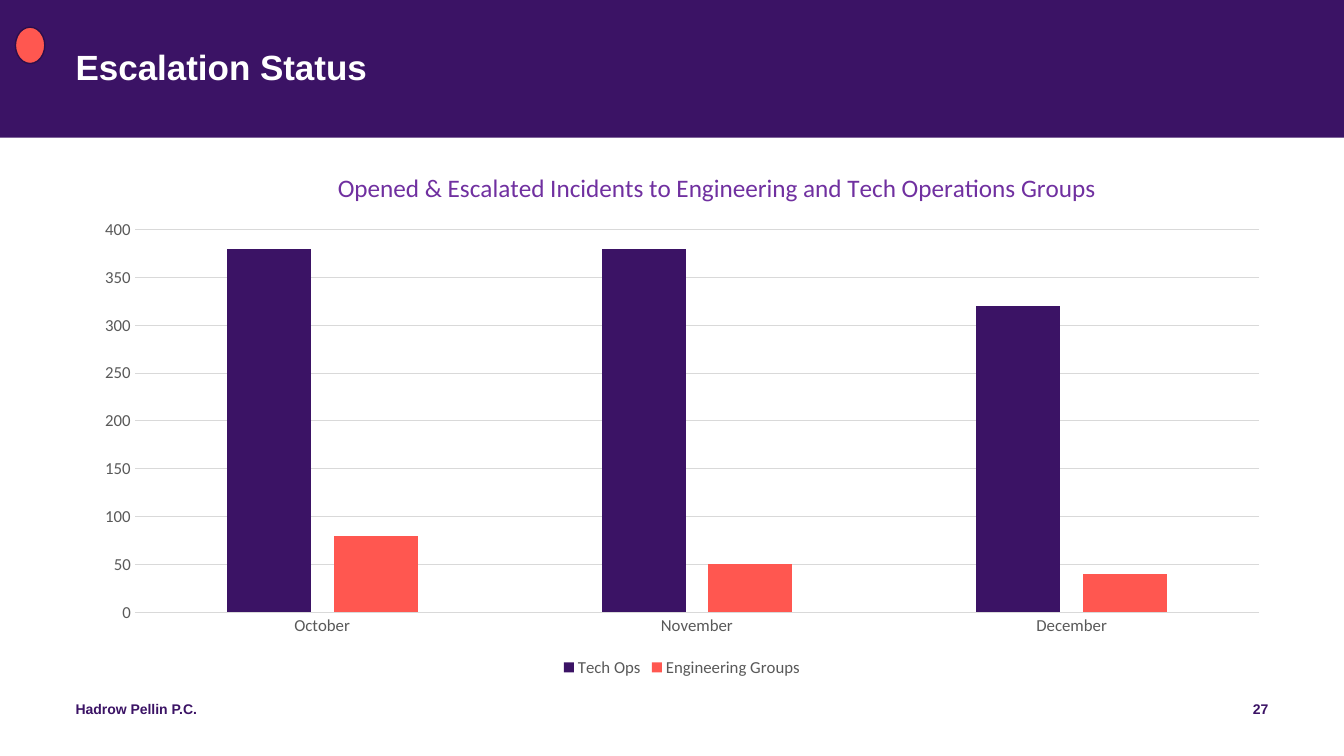
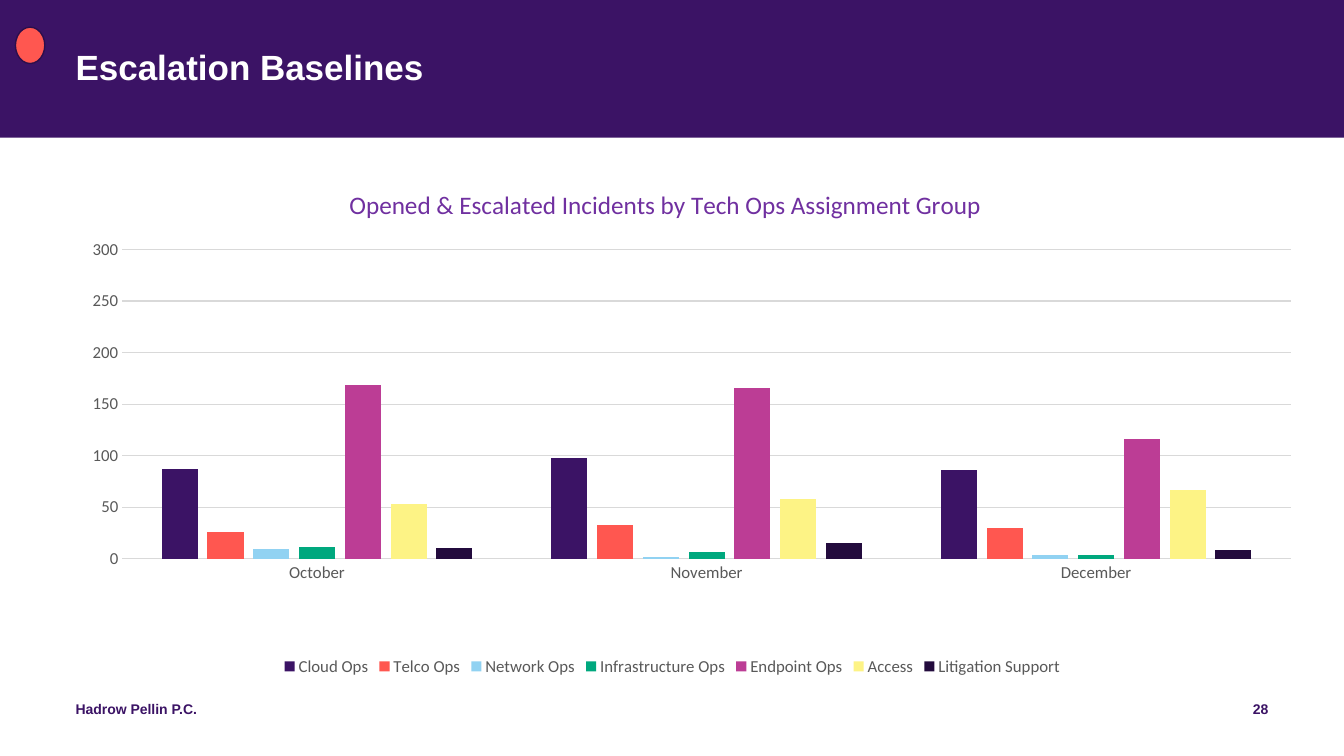
from dataclasses import dataclass

from pptx import Presentation
from pptx.chart.data import CategoryChartData
from pptx.dml.color import RGBColor
from pptx.enum.chart import XL_CHART_TYPE, XL_LEGEND_POSITION, XL_TICK_MARK
from pptx.enum.shapes import MSO_SHAPE
from pptx.enum.text import PP_ALIGN
from pptx.oxml import parse_xml
from pptx.oxml.ns import nsdecls, qn
from pptx.util import Pt


@dataclass(frozen=True)
class Theme:
    purple: RGBColor = RGBColor.from_string("3B1365")
    coral: RGBColor = RGBColor.from_string("FF5750")
    outline: RGBColor = RGBColor.from_string("2C0E4B")
    white: RGBColor = RGBColor.from_string("FFFFFF")
    chart_title: RGBColor = RGBColor.from_string("7030A0")
    label: RGBColor = RGBColor.from_string("595959")
    grid: RGBColor = RGBColor.from_string("D9D9D9")
    series: tuple = tuple(map(RGBColor.from_string, (
        "3B1365", "FF5750", "91D2F2", "00A87E", "BC3D95", "FDF385", "230B3D")))
    text_font: str = "Arial"
    chart_font: str = "Calibri"
    title_size: Pt = Pt(25)
    footer_size: Pt = Pt(10)
    chart_title_size: Pt = Pt(18)
    label_size: Pt = Pt(12)


theme = Theme()
FOOTER = "Hadrow Pellin P.C."
FIRST_PAGE = 27
MONTHS = ["October", "November", "December"]

# Slide content: chart frames in points, layouts as fractions of the chart
SLIDES = [
    {
        "title": "Escalation Status",
        "chart_title": "Opened & Escalated Incidents to Engineering and Tech Operations Groups",
        "frame": (57.6, 107.3, 859, 379.4),
        "title_at": {"x": 0.21, "y": 0.03},
        "plot": {"x": 0.045, "y": 0.15, "w": 0.935, "h": 0.72},
        "maximum": 400,
        "series": {"Tech Ops": (380, 380, 320), "Engineering Groups": (80, 50, 40)},
    },
    {
        "title": "Escalation Baselines",
        "chart_title": "Opened & Escalated Incidents by Tech Ops Assignment Group",
        "frame": (18, 111.6, 924.5, 374.4),
        "title_at": {"x": 0.247, "y": 0.05},
        "plot": {"x": 0.075, "y": 0.178, "w": 0.903, "h": 0.59},
        "maximum": 300,
        "series": {
            "Cloud Ops": (87, 98, 86),
            "Telco Ops": (26, 33, 30),
            "Network Ops": (9, 2, 4),
            "Infrastructure Ops": (11, 6, 4),
            "Endpoint Ops": (169, 166, 116),
            "Access": (53, 58, 67),
            "Litigation Support": (10, 15, 8),
        },
    },
]


def add_text(page, frame, text, size, color, align=PP_ALIGN.LEFT, spacing=1.0):
    box = page.shapes.add_textbox(*map(Pt, frame))
    text_frame = box.text_frame
    text_frame.word_wrap = True
    text_frame.margin_left = text_frame.margin_right = 0
    text_frame.margin_top = text_frame.margin_bottom = 0
    para = text_frame.paragraphs[0]
    para.text = text
    para.alignment = align
    para.line_spacing = spacing
    para.font.name = theme.text_font
    para.font.size = size
    para.font.bold = True
    para.font.color.rgb = color


def manual_layout(fractions, target=""):
    modes = "".join(f'<c:{axis}Mode val="edge"/>' for axis in "xy")
    places = "".join(f'<c:{key} val="{value}"/>' for key, value in fractions.items())
    return parse_xml(f'<c:layout {nsdecls("c")}><c:manualLayout>{target}'
                     f"{modes}{places}</c:manualLayout></c:layout>")


deck = Presentation()
deck.slide_width, deck.slide_height = Pt(960), Pt(540)

for number, content in enumerate(SLIDES, FIRST_PAGE):
    page = deck.slides.add_slide(deck.slide_layouts[6])

    # Title band
    band = page.shapes.add_shape(MSO_SHAPE.RECTANGLE, 0, 0, deck.slide_width, Pt(98.4))
    band.shadow.inherit = False
    band.fill.solid()
    band.fill.fore_color.rgb = theme.purple
    band.line.fill.background()

    # Footer and title
    add_text(page, (54, 500.4, 324, 28.8), FOOTER, theme.footer_size, theme.purple)
    add_text(page, (690, 500.4, 216, 28.8), str(number), theme.footer_size,
             theme.purple, PP_ALIGN.RIGHT)
    add_text(page, (54, 36, 852, 58.3), content["title"], theme.title_size,
             theme.white, spacing=0.9)

    # Chart
    data = CategoryChartData()
    data.categories = MONTHS
    for name, values in content["series"].items():
        data.add_series(name, values)
    chart = page.shapes.add_chart(
        XL_CHART_TYPE.COLUMN_CLUSTERED, *map(Pt, content["frame"]), data).chart
    chart.font.name = theme.chart_font
    chart.font.size = theme.label_size
    chart.font.color.rgb = theme.label

    # Columns
    plot = chart.plots[0]
    plot.gap_width, plot.overlap, plot.vary_by_categories = 219, -27, False
    for series, color in zip(plot.series, theme.series):
        series.invert_if_negative = False
        series.format.fill.solid()
        series.format.fill.fore_color.rgb = color

    # Axes
    months, counts = chart.category_axis, chart.value_axis
    for axis in (months, counts):
        axis.major_tick_mark = axis.minor_tick_mark = XL_TICK_MARK.NONE
    counts.minimum_scale, counts.maximum_scale = 0, content["maximum"]
    counts.major_unit = 50
    counts.has_major_gridlines = True
    counts.format.line.fill.background()
    for line in (months.format.line, counts.major_gridlines.format.line):
        line.color.rgb = theme.grid
        line.width = Pt(0.75)

    # Legend
    chart.has_legend = True
    chart.legend.position = XL_LEGEND_POSITION.BOTTOM
    chart.legend.include_in_layout = False

    # Chart title
    chart.has_title = True
    para = chart.chart_title.text_frame.paragraphs[0]
    para.text = content["chart_title"]
    para.font.name = theme.chart_font
    para.font.size = theme.chart_title_size
    para.font.bold = False
    para.font.color.rgb = theme.chart_title

    # Fixed places for the chart title and plot area
    title = chart.chart_title.element
    plot_area = next(chart.element.iter(qn("c:plotArea")))
    for part in (title, plot_area):
        for layout in part.findall(qn("c:layout")):
            part.remove(layout)
    title.find(qn("c:tx")).addnext(manual_layout(content["title_at"]))
    plot_area.insert(0, manual_layout(content["plot"], '<c:layoutTarget val="inner"/>'))

    # Accent dot
    dot = page.shapes.add_shape(MSO_SHAPE.OVAL, Pt(11), Pt(19.4), Pt(21), Pt(26))
    dot.shadow.inherit = False
    dot.fill.solid()
    dot.fill.fore_color.rgb = theme.coral
    dot.line.color.rgb = theme.outline
    dot.line.width = Pt(1)

deck.save("out.pptx")
